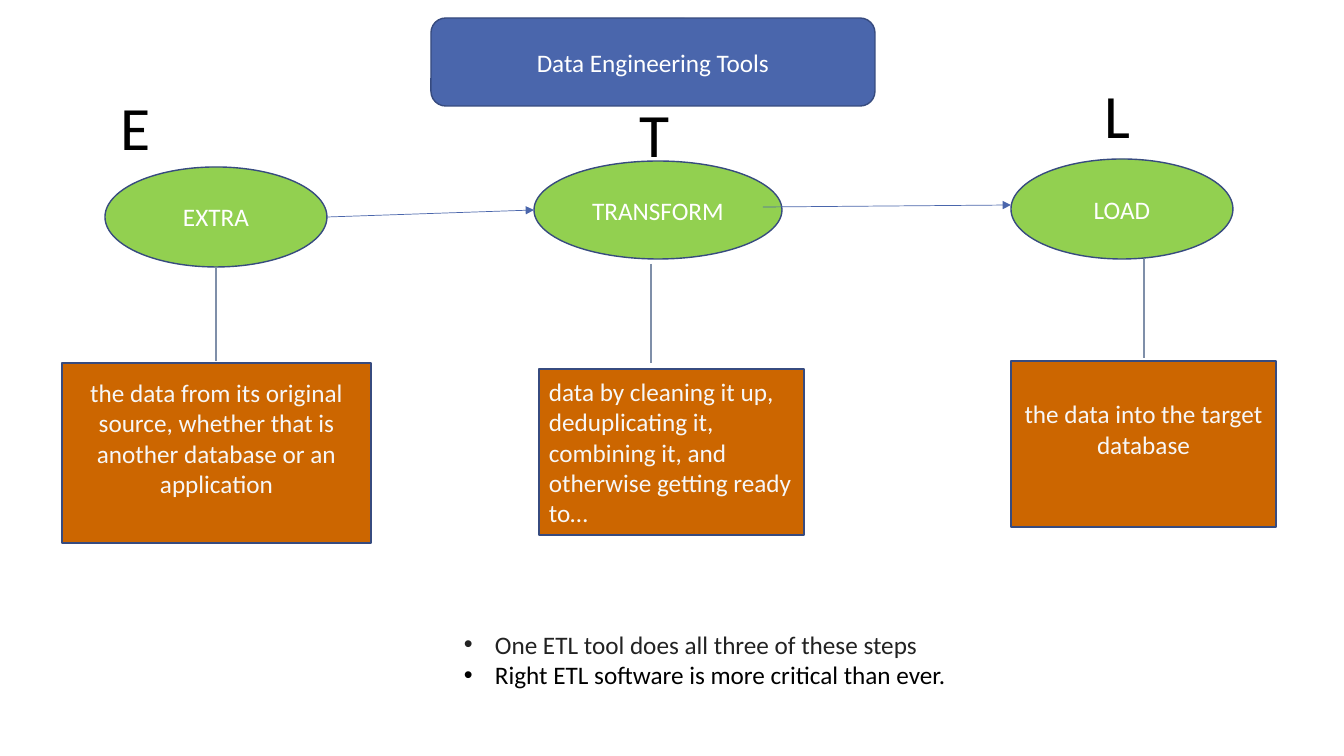
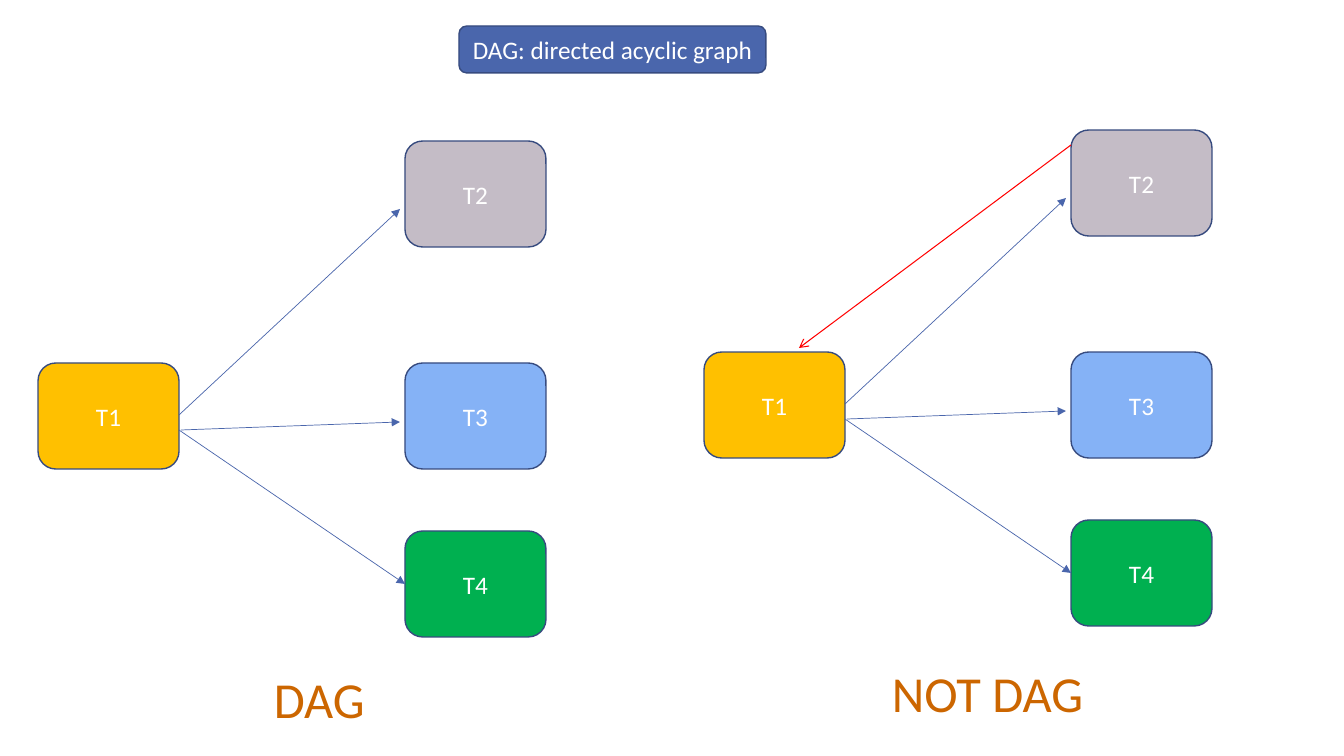
from lxml import etree
from pptx import Presentation
from pptx import util as u
from pptx.dml.color import RGBColor
from pptx.enum import shapes, text
from pptx.oxml import ns

SCALE = 914400 / 100.8
FONT = "Calibri"
WHITE = RGBColor(0xFF, 0xFF, 0xFF)
OFF_WHITE = RGBColor(0xF7, 0xF7, 0xF7)
BLACK = RGBColor(0x00, 0x00, 0x00)
CHARCOAL = RGBColor(0x22, 0x22, 0x22)
BLUE = RGBColor(0x4A, 0x66, 0xAC)
NAVY = RGBColor(0x37, 0x4B, 0x7F)
SLATE = RGBColor(0x7F, 0x8F, 0xA9)
ORANGE = RGBColor(0xCC, 0x66, 0x00)
LIME = RGBColor(0x92, 0xD0, 0x50)
AMBER = RGBColor(0xFF, 0xC0, 0x00)
MAUVE = RGBColor(0xC4, 0xBC, 0xC6)
SKY = RGBColor(0x85, 0xB2, 0xF6)
GREEN = RGBColor(0x00, 0xB0, 0x50)
RED = RGBColor(0xFF, 0x00, 0x00)

ROUNDED = shapes.MSO_SHAPE.ROUNDED_RECTANGLE
CENTER = text.PP_ALIGN.CENTER
LEFT = text.PP_ALIGN.LEFT
LINE_HEIGHT = 30
BULLET_INDENT = 31
NODE_SIZE = (141, 106)


def px(length):
    """Turn pixels into EMU."""
    return u.Emu(round(length * SCALE))


def write(frame, lines, size=18, colors=(WHITE,), align=LEFT,
          anchor=text.MSO_ANCHOR.TOP, bottom=5, bullet=None):
    """Fill a text frame with one paragraph per line, cycling through colors."""
    frame.word_wrap = True
    frame.vertical_anchor = anchor
    frame.margin_bottom = px(bottom)
    for index, line in enumerate(lines):
        paragraph = frame.paragraphs[0] if index == 0 else frame.add_paragraph()
        paragraph.alignment = align
        run = paragraph.add_run()
        run.text = line
        run.font.name = FONT
        run.font.size = u.Pt(size)
        run.font.color.rgb = colors[index % len(colors)]
        if bullet:
            properties = paragraph._p.get_or_add_pPr()
            properties.set("marL", str(px(BULLET_INDENT)))
            properties.set("indent", str(-px(BULLET_INDENT)))
            etree.SubElement(properties, ns.qn("a:buFont"), typeface="Arial")
            etree.SubElement(properties, ns.qn("a:buChar"), char=bullet)


def label(slide, box, *lines, **style):
    """Add a text box."""
    write(slide.shapes.add_textbox(*map(px, box)).text_frame, lines, **style)


def block(slide, kind, box, fill, caption, align=CENTER, **style):
    """Add a filled, outlined shape with its caption in the middle."""
    shape = slide.shapes.add_shape(kind, *map(px, box))
    shape.shadow.inherit = False
    shape.fill.solid()
    shape.fill.fore_color.rgb = fill
    shape.line.color.rgb = NAVY
    shape.line.width = u.Pt(1)
    write(shape.text_frame, [caption], align=align,
          anchor=text.MSO_ANCHOR.MIDDLE, **style)


def link(slide, start, end, color=BLUE, width=0.5, head="triangle"):
    """Draw a straight line, with an arrowhead at its end if one is named."""
    connector = slide.shapes.add_connector(
        shapes.MSO_CONNECTOR.STRAIGHT, *map(px, (*start, *end)))
    connector.line.color.rgb = color
    connector.line.width = u.Pt(width)
    if head:
        etree.SubElement(connector.line._get_or_add_ln(), ns.qn("a:tailEnd"), type=head)
    etree.SubElement(connector._element.spPr, ns.qn("a:effectLst"))


def title(slide, box, caption):
    """Add the blue title band."""
    block(slide, ROUNDED, box, BLUE, caption)


def stage(slide, box, letter, name, detail, letter_at, stem, detail_box,
          align=CENTER, spare_lines=0):
    """Draw one ETL step; offsets count from the corner of its oval's box."""
    left, top, _, _ = box
    dx, dy, width, height = detail_box
    stem_x, stem_top, stem_bottom = stem
    block(slide, shapes.MSO_SHAPE.OVAL, box, LIME, name)
    block(slide, shapes.MSO_SHAPE.RECTANGLE, (left + dx, top + dy, width, height),
          ORANGE, detail, align=align, colors=(OFF_WHITE,),
          bottom=5 + spare_lines * LINE_HEIGHT)
    link(slide, (left + stem_x, top + stem_top), (left + stem_x, top + stem_bottom),
         color=SLATE, width=1.5, head=None)
    label(slide, (left + letter_at[0], top + letter_at[1], 106, 85), letter,
          size=44, colors=(BLACK,))


def graph(slide, origin):
    """Draw four tasks and the arrows from T1, counted from the given corner."""
    left, top = origin
    tasks = [("T1", 0, 222, AMBER), ("T2", 367, 0, MAUVE),
             ("T3", 367, 222, SKY), ("T4", 367, 390, GREEN)]
    for name, dx, dy, fill in tasks:
        block(slide, ROUNDED, (left + dx, top + dy, *NODE_SIZE), fill, name)
    edges = [((141, 274), (362, 68)), ((143, 289), (362, 281)),
             ((141, 289), (367, 443))]
    for edge in edges:
        link(slide, *((left + dx, top + dy) for dx, dy in edge))


def etl_slide(slide):
    """Build the slide on the three ETL steps."""
    title(slide, (431, 18, 444, 88), "Data Engineering Tools")
    stage(slide, (105, 167, 222, 100), "E", "EXTRA",
          "the data from its original source, whether that is another database "
          "or an application",
          letter_at=(6, -83), stem=(111, 100, 194),
          detail_box=(-43, 196, 309, 180), spare_lines=1)
    stage(slide, (534, 161, 248, 98), "T", "TRANSFORM",
          "data by cleaning it up, deduplicating it, combining it, and otherwise "
          "getting ready to…",
          letter_at=(96, -70), stem=(117, 103, 202),
          detail_box=(5, 208, 265, 166), align=LEFT)
    stage(slide, (1011, 159, 222, 100), "L", "LOAD",
          "the data into the target database",
          letter_at=(84, -87), stem=(133, 100, 199),
          detail_box=(0, 202, 265, 166), spare_lines=1)
    link(slide, (327, 217), (534, 210))
    link(slide, (763, 207), (1011, 205))
    label(slide, (454, 624, 510, 72),
          "One ETL tool does all three of these steps",
          "Right ETL software is more critical than ever.",
          colors=(CHARCOAL, BLACK), bullet="•")


def dag_slide(slide):
    """Build the slide that sets a DAG beside a graph with a cycle."""
    title(slide, (459, 26, 307, 47), "DAG: directed acyclic graph")
    graph(slide, (38, 141))
    graph(slide, (704, 130))
    link(slide, (1071, 145), (799, 348), color=RED, width=0.75, head="arrow")
    label(slide, (264, 663, 152, 72), "DAG", size=36, colors=(ORANGE,))
    label(slide, (882, 657, 235, 72), "NOT DAG", size=36, colors=(ORANGE,))


def main():
    """Build and save the presentation."""
    deck = Presentation()
    deck.slide_width, deck.slide_height = px(1344), px(756)
    for build in (etl_slide, dag_slide):
        build(deck.slides.add_slide(deck.slide_layouts[6]))
    deck.save("out.pptx")


main()
